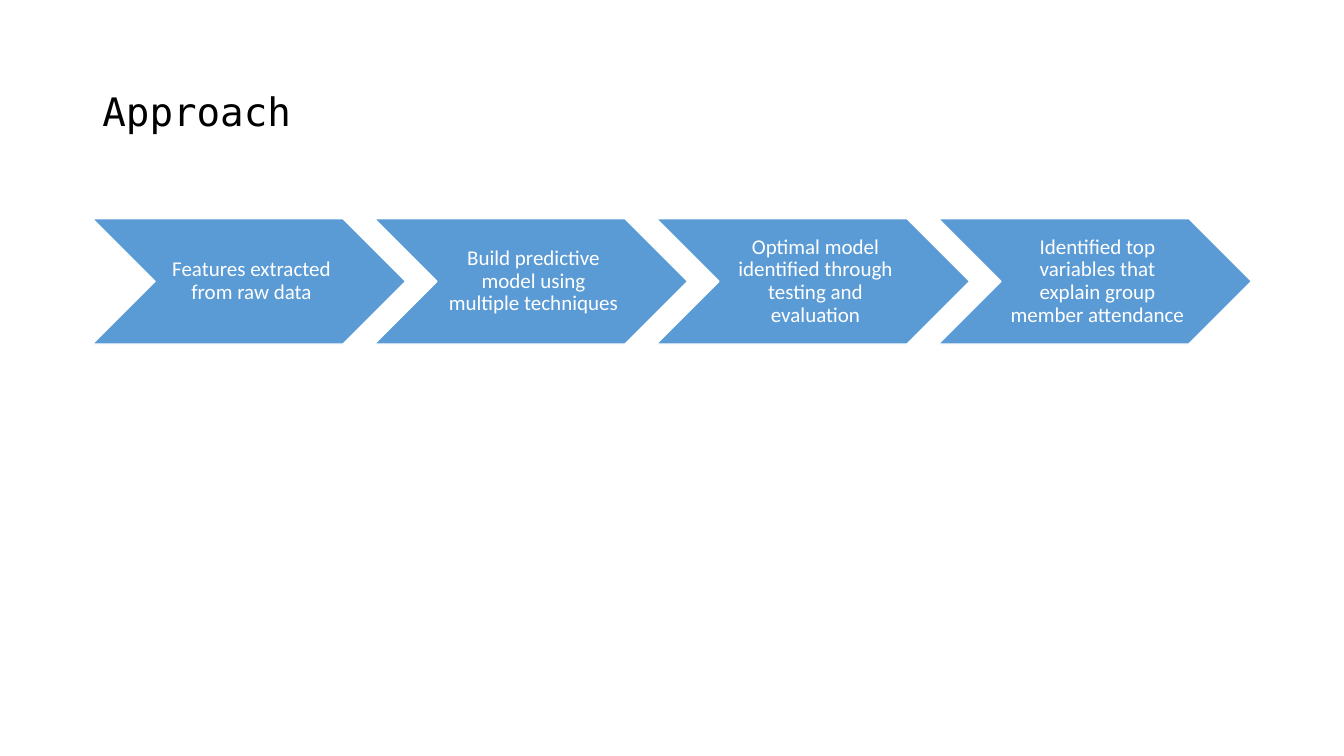
import pptx
import pptx.util
import pptx.dml.color
import pptx.enum.shapes
import pptx.enum.text

Pt = pptx.util.Pt
ALIGN = pptx.enum.text.PP_ALIGN
MIDDLE = pptx.enum.text.MSO_ANCHOR.MIDDLE

# Content
TITLE = "Approach"
STEPS = [
    "Features extracted from raw data",
    "Build predictive model using multiple techniques",
    "Optimal model identified through testing and evaluation",
    "Identified top variables that explain group member attendance",
]

# Layout: chevrons overlap by a tenth of their width and fill the row
LEFT, WIDTH, TOP = 66, 828, 156.24
OVERLAP = 0.1
STEP_W = WIDTH / (len(STEPS) - OVERLAP * (len(STEPS) - 1))
STEP_H = STEP_W / 2.5


def color(code):
    return pptx.dml.color.RGBColor.from_string(code)


def style(para, font, size, code, align):
    para.font.name = font
    para.font.size = Pt(size)
    para.font.color.rgb = color(code)
    para.alignment = align
    para.line_spacing = 0.9


def add_step(slide, index, text):
    left = LEFT + index * STEP_W * (1 - OVERLAP)
    shape = slide.shapes.add_shape(
        pptx.enum.shapes.MSO_SHAPE.CHEVRON,
        Pt(left), Pt(TOP), Pt(STEP_W), Pt(STEP_H))
    shape.shadow.inherit = False
    shape.fill.solid()
    shape.fill.fore_color.rgb = color("5B9BD5")
    shape.line.color.rgb = color("FFFFFF")
    shape.line.width = Pt(1)
    frame = shape.text_frame
    frame.word_wrap = True
    frame.vertical_anchor = MIDDLE
    frame.margin_left = Pt(5)
    frame.margin_right = frame.margin_top = frame.margin_bottom = Pt(1.5)
    frame.text = text
    style(frame.paragraphs[0], "Calibri", 15, "FFFFFF", ALIGN.CENTER)


def main():
    deck = pptx.Presentation()
    deck.slide_width, deck.slide_height = Pt(960), Pt(540)
    slide = deck.slides.add_slide(deck.slide_layouts[5])

    # Title
    title = slide.shapes.title
    title.left, title.top = Pt(LEFT), Pt(28.75)
    title.width, title.height = Pt(WIDTH), Pt(104.4)
    title.text_frame.text = TITLE
    title.text_frame.vertical_anchor = MIDDLE
    style(title.text_frame.paragraphs[0],
          "DejaVu Sans Mono", 28, "000000", ALIGN.LEFT)

    # Process row
    for index, text in enumerate(STEPS):
        add_step(slide, index, text)

    deck.save("out.pptx")


if __name__ == "__main__":
    main()
